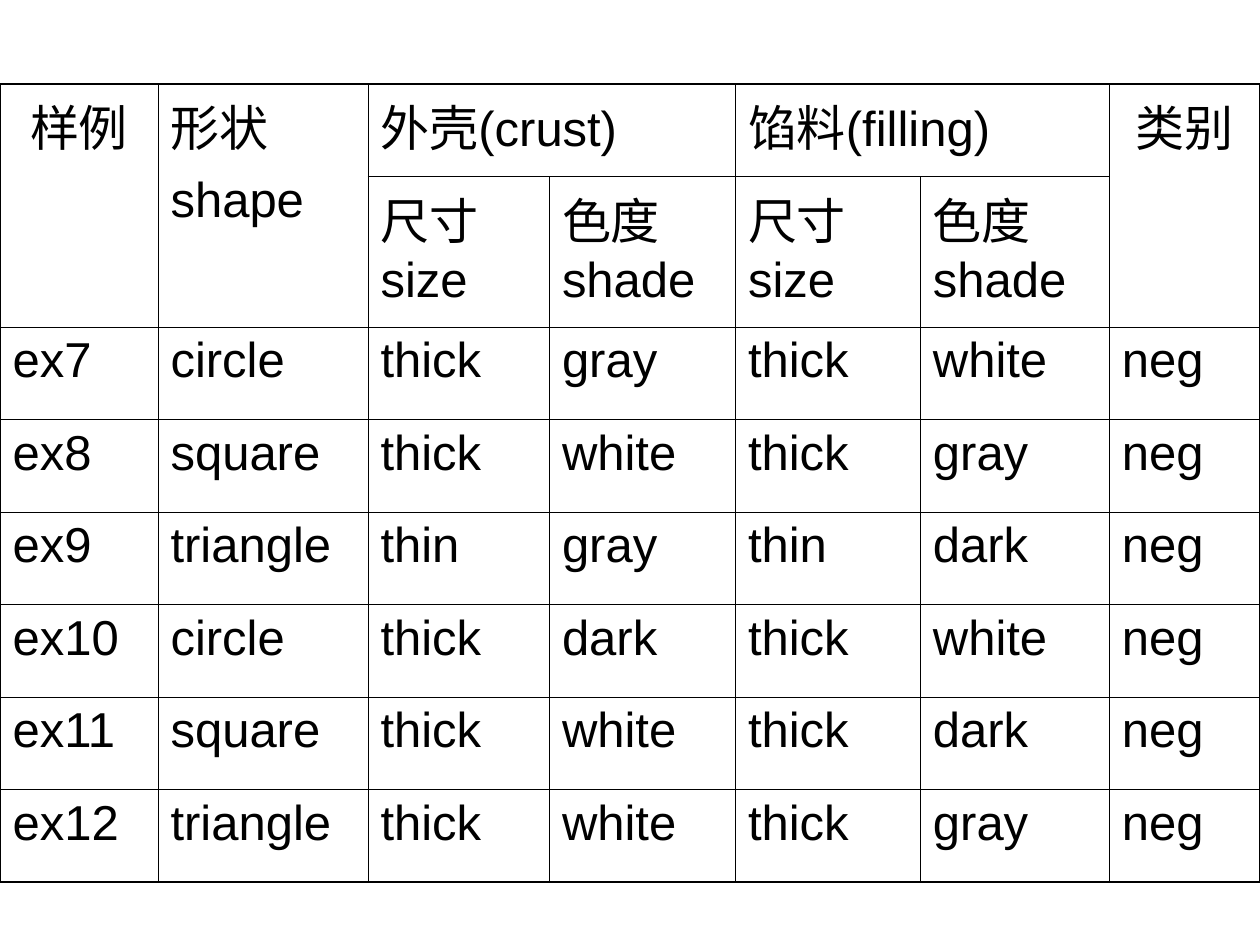
from typing import NamedTuple

from pptx import Presentation
from pptx.dml.color import RGBColor as Rgb
from pptx.enum.text import PP_ALIGN as Align
from pptx.oxml import parse_xml
from pptx.oxml.ns import nsdecls
from pptx.util import Pt

COLORS = {"ink": "000000"}
FONT, SIZE = "Arial", 28
THIN, THICK = 0.45, 1.08
COLUMN_WIDTHS = [90.3, 120, 103.7, 106.3, 105.7, 108, 86]
ROW_HEIGHTS = [52.9, 81.4] + [52.9] * 6


class Header(NamedTuple):
    row: int
    column: int
    text: str
    rows: int = 1
    columns: int = 1
    align: Align = Align.LEFT


HEADERS = [
    Header(0, 0, "样例", rows=2, align=Align.CENTER),
    Header(0, 1, "形状\nshape", rows=2),
    Header(0, 2, "外壳(crust)", columns=2),
    Header(0, 4, "馅料(filling)", columns=2),
    Header(0, 6, "类别", rows=2, align=Align.CENTER),
    Header(1, 2, "尺寸size"),
    Header(1, 3, "色度shade"),
    Header(1, 4, "尺寸size"),
    Header(1, 5, "色度shade"),
]

EXAMPLES = [
    ("ex7", "circle", "thick", "gray", "thick", "white", "neg"),
    ("ex8", "square", "thick", "white", "thick", "gray", "neg"),
    ("ex9", "triangle", "thin", "gray", "thin", "dark", "neg"),
    ("ex10", "circle", "thick", "dark", "thick", "white", "neg"),
    ("ex11", "square", "thick", "white", "thick", "dark", "neg"),
    ("ex12", "triangle", "thick", "white", "thick", "gray", "neg"),
]


def write_cell(cell, text: str, align: Align = Align.LEFT) -> None:
    cell.text_frame.text = text
    for index, para in enumerate(cell.text_frame.paragraphs):
        para.alignment = align
        para.space_before = Pt(7 if index else 0)
        for span in para.runs:
            span.font.name = FONT
            span.font.size = Pt(SIZE)
            span.font.color.rgb = Rgb.from_string(COLORS["ink"])


def style_cell(cell, row: int, column: int) -> None:
    """Clear the fill, set the margins, and rule thicker lines on the outside."""
    cell.fill.background()
    cell.margin_left = cell.margin_right = Pt(7.2)
    cell.margin_top = cell.margin_bottom = Pt(3.6)
    outside = {
        "L": column == 0,
        "R": column == len(COLUMN_WIDTHS) - 1,
        "T": row == 0,
        "B": row == len(ROW_HEIGHTS) - 1,
    }
    properties = cell._tc.get_or_add_tcPr()
    for index, (side, is_outer) in enumerate(outside.items()):
        width = Pt(THICK if is_outer else THIN)
        properties.insert(index, parse_xml(
            f'<a:ln{side} {nsdecls("a")} w="{width}"><a:solidFill>'
            f'<a:srgbClr val="{COLORS["ink"]}"/></a:solidFill></a:ln{side}>'))


def add_header(table, header: Header) -> None:
    cell = table.cell(header.row, header.column)
    if header.rows > 1 or header.columns > 1:
        cell.merge(table.cell(header.row + header.rows - 1,
                              header.column + header.columns - 1))
    write_cell(cell, header.text, header.align)


def main() -> None:
    deck = Presentation()
    deck.slide_width, deck.slide_height = Pt(720), Pt(540)
    page = deck.slides.add_slide(deck.slide_layouts[6])

    # Table grid
    table = page.shapes.add_table(
        len(ROW_HEIGHTS), len(COLUMN_WIDTHS), Pt(0), Pt(48),
        Pt(sum(COLUMN_WIDTHS)), Pt(sum(ROW_HEIGHTS))).table
    table.first_row = table.horz_banding = False
    for column, width in zip(table.columns, COLUMN_WIDTHS):
        column.width = Pt(width)
    for row, height in zip(table.rows, ROW_HEIGHTS):
        row.height = Pt(height)
    for row in range(len(ROW_HEIGHTS)):
        for column in range(len(COLUMN_WIDTHS)):
            style_cell(table.cell(row, column), row, column)

    # Two-level header
    for header in HEADERS:
        add_header(table, header)

    # Training examples
    for row, example in enumerate(EXAMPLES, start=2):
        for column, value in enumerate(example):
            write_cell(table.cell(row, column), value)

    deck.save("out.pptx")


if __name__ == "__main__":
    main()
